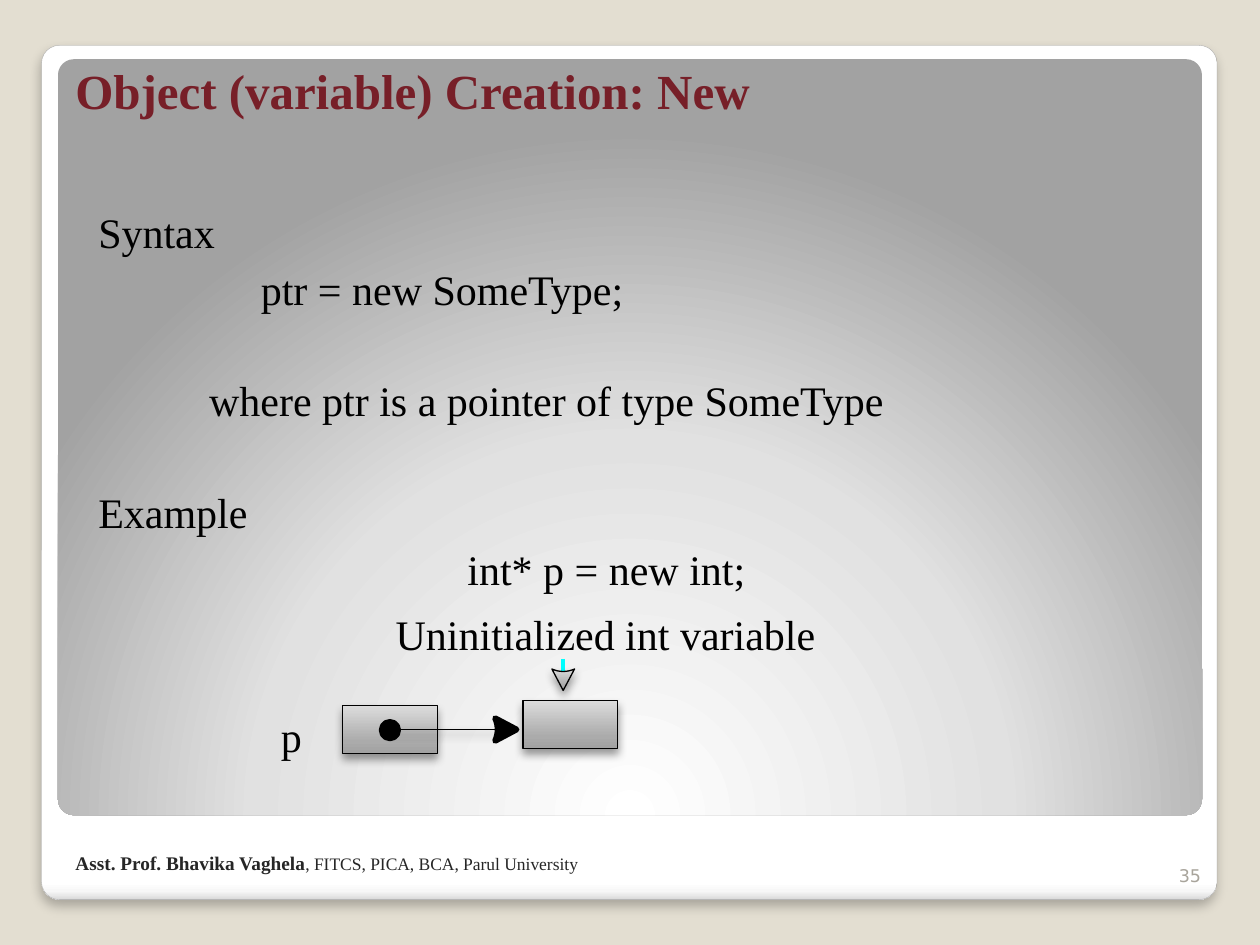
import lxml.etree as etree
import pptx
import pptx.dml.color
import pptx.enum.shapes
import pptx.enum.text
import pptx.oxml
import pptx.oxml.ns
import pptx.util

Inches = pptx.util.Inches
Pt = pptx.util.Pt
RGB = pptx.dml.color.RGBColor
Shape = pptx.enum.shapes.MSO_SHAPE
Anchor = pptx.enum.text.MSO_ANCHOR
Align = pptx.enum.text.PP_ALIGN
qn = pptx.oxml.ns.qn

SAND = RGB(0xE3, 0xDE, 0xD1)
EDGE = RGB(0xA4, 0xA4, 0xA4)
WINE = RGB(0x77, 0x1F, 0x28)
BLACK = RGB(0, 0, 0)
CYAN = RGB(0, 0xFF, 0xFF)
DARK = RGB(0x26, 0x26, 0x26)
STONE = RGB(0xA8, 0xA4, 0x9B)

SERIF = "Times New Roman"
SANS = "DejaVu Sans"

DOWN = '<a:lin ang="5400000" scaled="0"/>'
UP = '<a:lin ang="16200000" scaled="0"/>'
GLOW = ('<a:path path="circle"><a:fillToRect l="50000" t="175000" '
        'r="50000" b="-75000"/></a:path>')
CARD = ([(0, "FFFFFF"), (98, "FFFFFF"), (99, "F7F7F7"), (100, "DADADA")], DOWN)
PANEL = ([(0, "FFFFFF"), (55, "E1E1E1"), (100, "A2A2A2")], GLOW)
STEEL = ([(0, "A2A2A2"), (25, "ABABAB"), (100, "DCDCDC")], UP)

# Shadow: opacity in percent, blur and distance in points
SOFT = (25, 6, 4)
FIRM = (40, 5.2, 3)


def put(par, text, size=24, font=SERIF, color=BLACK, bold=False):
    run = par.add_run()
    run.text = text
    run.font.size = Pt(size)
    run.font.name = font
    run.font.bold = bold
    run.font.color.rgb = color


def shade(props, shadow):
    """Give a shape or line its shadow, or an empty effect list."""
    for old in props.findall(qn("a:effectLst")):
        props.remove(old)
    effects = etree.SubElement(props, qn("a:effectLst"))
    if shadow:
        alpha, blur, dist = shadow
        outer = etree.SubElement(
            effects, qn("a:outerShdw"), blurRad=str(Pt(blur)),
            dist=str(Pt(dist)), dir="5400000", algn="ctr", rotWithShape="0")
        tint = etree.SubElement(outer, qn("a:srgbClr"), val="000000")
        etree.SubElement(tint, qn("a:alpha"), val=str(alpha * 1000))


def paint(shape, fill, line, width, shadow):
    """Fill with a colour or a (stops, direction) gradient, then outline."""
    if isinstance(fill, RGB):
        shape.fill.solid()
        shape.fill.fore_color.rgb = fill
    else:
        stops, way = fill
        marks = "".join(
            f'<a:gs pos="{pos * 1000}"><a:srgbClr val="{tone}"/></a:gs>'
            for pos, tone in stops)
        shape.fill.background()
        props = shape.fill._xPr
        props.replace(props.find(qn("a:noFill")), pptx.oxml.parse_xml(
            f'<a:gradFill {pptx.oxml.ns.nsdecls("a")} rotWithShape="1">'
            f'<a:gsLst>{marks}</a:gsLst>{way}</a:gradFill>'))
    if line is None:
        shape.line.fill.background()
    else:
        shape.line.color.rgb = line
        shape.line.width = Pt(width)
    shape.shadow.inherit = False
    shade(shape._element.spPr, shadow)


class Deck:
    def __init__(self):
        self.prs = pptx.Presentation()
        self.prs.slide_width, self.prs.slide_height = Inches(10), Inches(7.5)
        self.slide = self.prs.slides.add_slide(self.prs.slide_layouts[6])
        back = self.slide.background.fill
        back.solid()
        back.fore_color.rgb = SAND
        self.shapes = self.slide.shapes

    def block(self, kind, place, fill, line=None, width=0.75, shadow=None):
        shape = self.shapes.add_shape(kind, *map(Inches, place))
        if kind == Shape.ROUNDED_RECTANGLE:
            shape.adjustments[0] = 0.021
        paint(shape, fill, line, width, shadow)

    def line(self, start, end, color, width, shadow=None):
        line = self.shapes.add_connector(
            pptx.enum.shapes.MSO_CONNECTOR.STRAIGHT,
            *map(Inches, start + end))
        line.line.color.rgb = color
        line.line.width = Pt(width)
        shade(line._element.spPr, shadow)

    def head(self, tip, way, fill, width, shadow=None):
        """Arrowhead with a curved back, pointing along the unit step way."""
        dx, dy = way
        back = [(0.17 - 0.02 * (1 - (i / 4) ** 2), 0.09 * i / 4)
                for i in range(-4, 5)]
        points = [(Inches(tip[0] - dx * far + dy * side),
                   Inches(tip[1] - dy * far + dx * side))
                  for far, side in back]
        form = self.shapes.build_freeform(*map(Inches, tip))
        form.add_line_segments(points, close=True)
        paint(form.convert_to_shape(), fill, BLACK, width, shadow)

    def text(self, place, inset=(0.1, 0.05, 0.1, 0.05), wrap=True,
             anchor=Anchor.TOP):
        box = self.shapes.add_textbox(*map(Inches, place))
        frame = box.text_frame
        frame.word_wrap = wrap
        frame.vertical_anchor = anchor
        (frame.margin_left, frame.margin_top,
         frame.margin_right, frame.margin_bottom) = map(Inches, inset)
        return frame

    def label(self, place, words):
        frame = self.text(place, inset=(0, 0, 0, 0), wrap=False)
        put(frame.paragraphs[0], words)


def main():
    deck = Deck()
    deck.block(Shape.ROUNDED_RECTANGLE, (0.33, 0.36, 9.33, 6.78), CARD,
               EDGE, 0.16, SOFT)
    deck.block(Shape.ROUNDED_RECTANGLE, (0.46, 0.47, 9.08, 6), PANEL)

    title = deck.text((0.5, -0.17, 8.83, 1.17), anchor=Anchor.BOTTOM)
    put(title.paragraphs[0], "Object (variable) Creation: New",
        size=28, color=WINE, bold=True)

    body = deck.text((0.58, 1.5, 8.58, 4.5), inset=(0.2, 0.14, 0.1, 0.05))
    near, far = 3.7, 34.9
    rows = [("Syntax", 0, 0),
            ("ptr = new SomeType;", 1.29, near),
            ("where ptr is a pointer of type SomeType", 0.88, far),
            ("Example", 0, far),
            ("int* p = new int;", 2.93, near)]
    for i, (words, indent, gap) in enumerate(rows):
        par = body.add_paragraph() if i else body.paragraphs[0]
        par._p.get_or_add_pPr().set("marL", str(Inches(indent)))
        if gap:
            par.space_before = Pt(gap)
        put(par, words)

    deck.block(Shape.RECTANGLE, (2.72, 5.6, 0.75, 0.38), STEEL, BLACK,
               shadow=FIRM)
    deck.line((3.1, 5.79), (3.97, 5.79), BLACK, 0.75, FIRM)
    deck.block(Shape.OVAL, (3.03, 5.73, 0.13, 0.13), BLACK, BLACK, 3.35)
    deck.head((4.1, 5.79), (1, 0), BLACK, 3.35)
    deck.block(Shape.RECTANGLE, (4.15, 5.56, 0.75, 0.38), STEEL, BLACK,
               shadow=FIRM)
    deck.label((2.23, 5.64, 0.17, 0.4), "p")
    deck.line((4.47, 5.23), (4.47, 5.35), CYAN, 2.13)
    deck.head((4.47, 5.48), (0, 1), STEEL, 0.75, FIRM)
    deck.label((3.14, 4.83, 3.36, 0.4), "Uninitialized int variable")

    page = deck.text((9.13, 6.68, 0.5, 0.4), anchor=Anchor.BOTTOM)
    page.paragraphs[0].alignment = Align.RIGHT
    put(page.paragraphs[0], "35", size=10, font=SANS, color=STONE)

    foot = deck.text((0.5, 6.67, 4.58, 0.32), anchor=Anchor.BOTTOM)
    put(foot.paragraphs[0], "Asst. Prof. Bhavika Vaghela",
        size=11, color=DARK, bold=True)
    put(foot.paragraphs[0], ", FITCS, PICA, BCA, Parul University",
        size=10, color=DARK)

    deck.prs.save("out.pptx")


if __name__ == "__main__":
    main()
